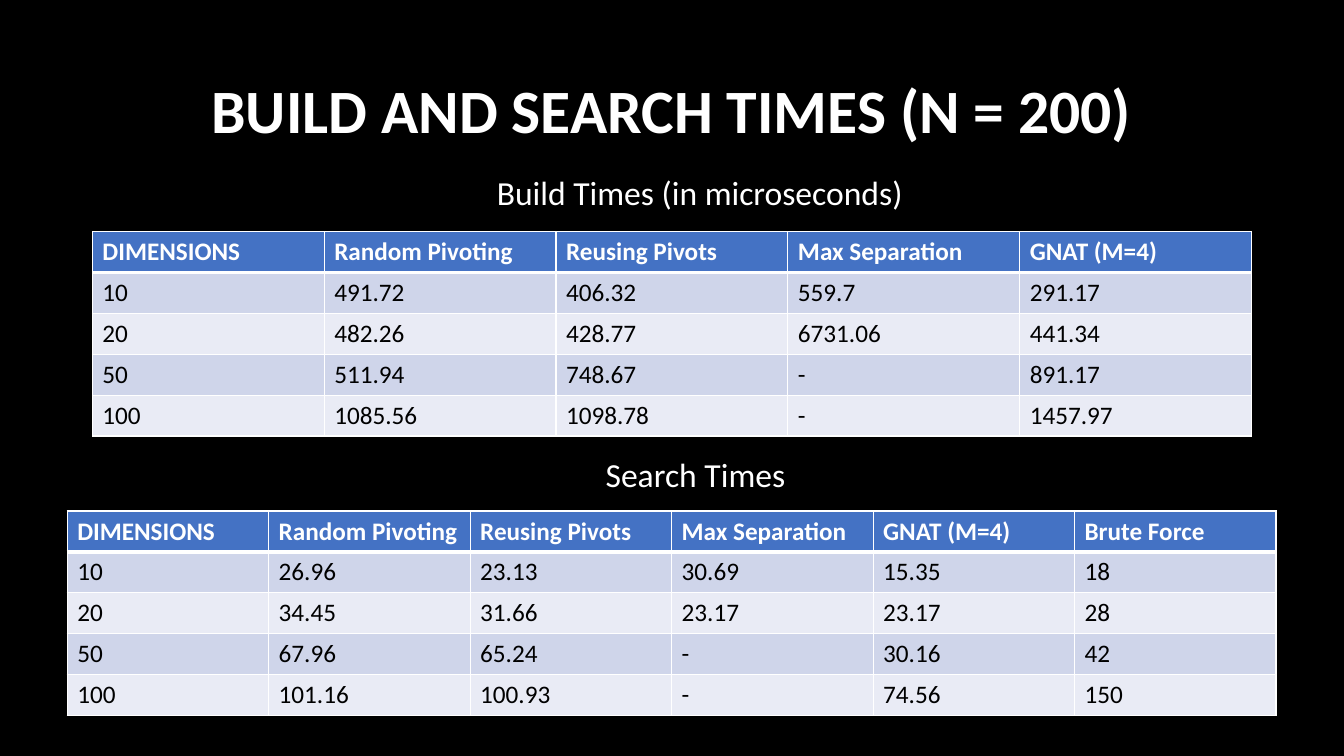
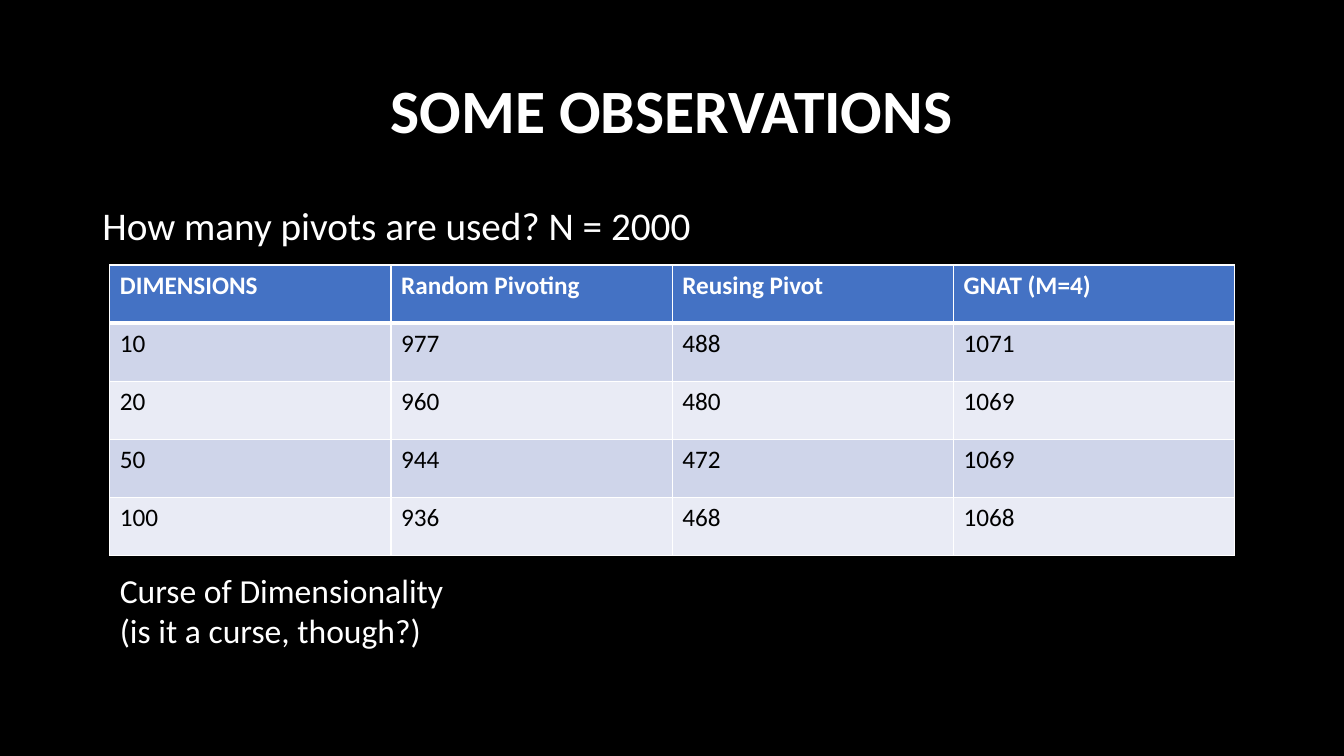
from lxml.etree import SubElement
from pptx import Presentation
from pptx.dml.color import RGBColor
from pptx.enum.text import MSO_ANCHOR, MSO_AUTO_SIZE, PP_ALIGN
from pptx.oxml.ns import qn
from pptx.util import Pt

# Shared style
FONT = "Calibri"
COLORS = {"back": "000000", "light": "FFFFFF", "dark": "000000",
          "header": "4472C4", "odd": "CFD5EA", "even": "E9EBF5"}
TITLE_BOX = (66, 28.8, 828, 104.4)

# Content: boxes are left, top, width, height in points
SLIDES = [
    {
        "title": "BUILD AND SEARCH TIMES (N = 200)",
        "tables": [
            {"box": (66, 165.5, 828, 146), "rows": [
                ("DIMENSIONS", "Random Pivoting", "Reusing Pivots", "Max Separation", "GNAT (M=4)"),
                ("10", "491.72", "406.32", "559.7", "291.17"),
                ("20", "482.26", "428.77", "6731.06", "441.34"),
                ("50", "511.94", "748.67", "-", "891.17"),
                ("100", "1085.56", "1098.78", "-", "1457.97"),
            ]},
            {"box": (48, 365, 863.5, 146), "rows": [
                ("DIMENSIONS", "Random Pivoting", "Reusing Pivots", "Max Separation", "GNAT (M=4)",
                 "Brute Force"),
                ("10", "26.96", "23.13", "30.69", "15.35", "18"),
                ("20", "34.45", "31.66", "23.17", "23.17", "28"),
                ("50", "67.96", "65.24", "-", "30.16", "42"),
                ("100", "101.16", "100.93", "-", "74.56", "150"),
            ]},
        ],
        "notes": [
            {"box": (347.8, 119.5, 314.6, 36.4), "lines": ["Build Times (in microseconds)"]},
            {"box": (425.5, 320.4, 158.4, 36.4), "lines": ["Search Times"]},
        ],
    },
    {
        "title": "SOME OBSERVATIONS",
        "body": {"box": (66, 144, 828, 342.7), "text": "How many pivots are used? N = 2000"},
        "tables": [
            {"box": (78.5, 189.3, 803.5, 207.5), "rows": [
                ("DIMENSIONS", "Random Pivoting", "Reusing Pivot", "GNAT (M=4)"),
                ("10", "977", "488", "1071"),
                ("20", "960", "480", "1069"),
                ("50", "944", "472", "1069"),
                ("100", "936", "468", "1068"),
            ]},
        ],
        "notes": [
            {"box": (78.5, 403.2, 503.3, 65.5),
             "lines": ["Curse of Dimensionality", "(is it a curse, though?)"]},
        ],
    },
]


def rgb(name):
    return RGBColor.from_string(COLORS[name])


def style(p, size, color="light", bold=False):
    for r in p.runs:
        r.font.name, r.font.size, r.font.bold = FONT, Pt(size), bold
        r.font.color.rgb = rgb(color)


def fill_placeholder(sp, box, text, size, bold, align, anchor):
    sp.left, sp.top, sp.width, sp.height = map(Pt, box)
    tf = sp.text_frame
    tf.text = text
    tf.auto_size = MSO_AUTO_SIZE.NONE
    tf.vertical_anchor = anchor
    p = tf.paragraphs[0]
    p.alignment, p.line_spacing, p.space_before = align, 0.9, Pt(0)
    style(p, size, bold=bold)
    return p


def add_body(sp, box, text):
    p = fill_placeholder(sp, box, text, 28, False, PP_ALIGN.LEFT, MSO_ANCHOR.TOP)
    pPr = p._p.get_or_add_pPr()
    pPr.set("marL", "0")
    pPr.set("indent", "0")
    SubElement(pPr, qn("a:buNone"))


def set_borders(cell, bottom):
    tcPr = cell._tc.get_or_add_tcPr()
    for side, width in (("L", 1), ("R", 1), ("T", 1), ("B", bottom)):
        ln = SubElement(tcPr, qn(f"a:ln{side}"), w=str(Pt(width)))
        SubElement(SubElement(ln, qn("a:solidFill")), qn("a:srgbClr"), val=COLORS["light"])


def add_table(slide, box, rows):
    x, y, w, h = map(Pt, box)
    table = slide.shapes.add_table(len(rows), len(rows[0]), x, y, w, h).table
    for i, row in enumerate(rows):
        header = i == 0
        fill = "header" if header else ("odd" if i % 2 else "even")
        for j, text in enumerate(row):
            cell = table.cell(i, j)
            cell.text = text
            # The rule below the header is heavy; the first row shares that edge
            set_borders(cell, 3 if header else 1)
            if i == 1:
                cell._tc.tcPr.find(qn("a:lnT")).set("w", str(Pt(3)))
            cell.fill.solid()
            cell.fill.fore_color.rgb = rgb(fill)
            style(cell.text_frame.paragraphs[0], 18, "light" if header else "dark", header)


def add_note(slide, box, lines):
    tf = slide.shapes.add_textbox(*map(Pt, box)).text_frame
    tf.word_wrap = True
    tf.text = "\n".join(lines)
    for p in tf.paragraphs:
        style(p, 24)


def main():
    prs = Presentation()
    prs.slide_width, prs.slide_height = Pt(960), Pt(540)
    background = prs.slide_master.background.fill
    background.solid()
    background.fore_color.rgb = rgb("back")

    for content in SLIDES:
        layout = "Title and Content" if "body" in content else "Title Only"
        slide = prs.slides.add_slide(prs.slide_layouts.get_by_name(layout))
        fill_placeholder(slide.shapes.title, TITLE_BOX, content["title"], 44, True,
                         PP_ALIGN.CENTER, MSO_ANCHOR.MIDDLE)
        if "body" in content:
            add_body(slide.placeholders[1], **content["body"])
        for table in content["tables"]:
            add_table(slide, **table)
        for note in content["notes"]:
            add_note(slide, **note)

    prs.save("out.pptx")


if __name__ == "__main__":
    main()
